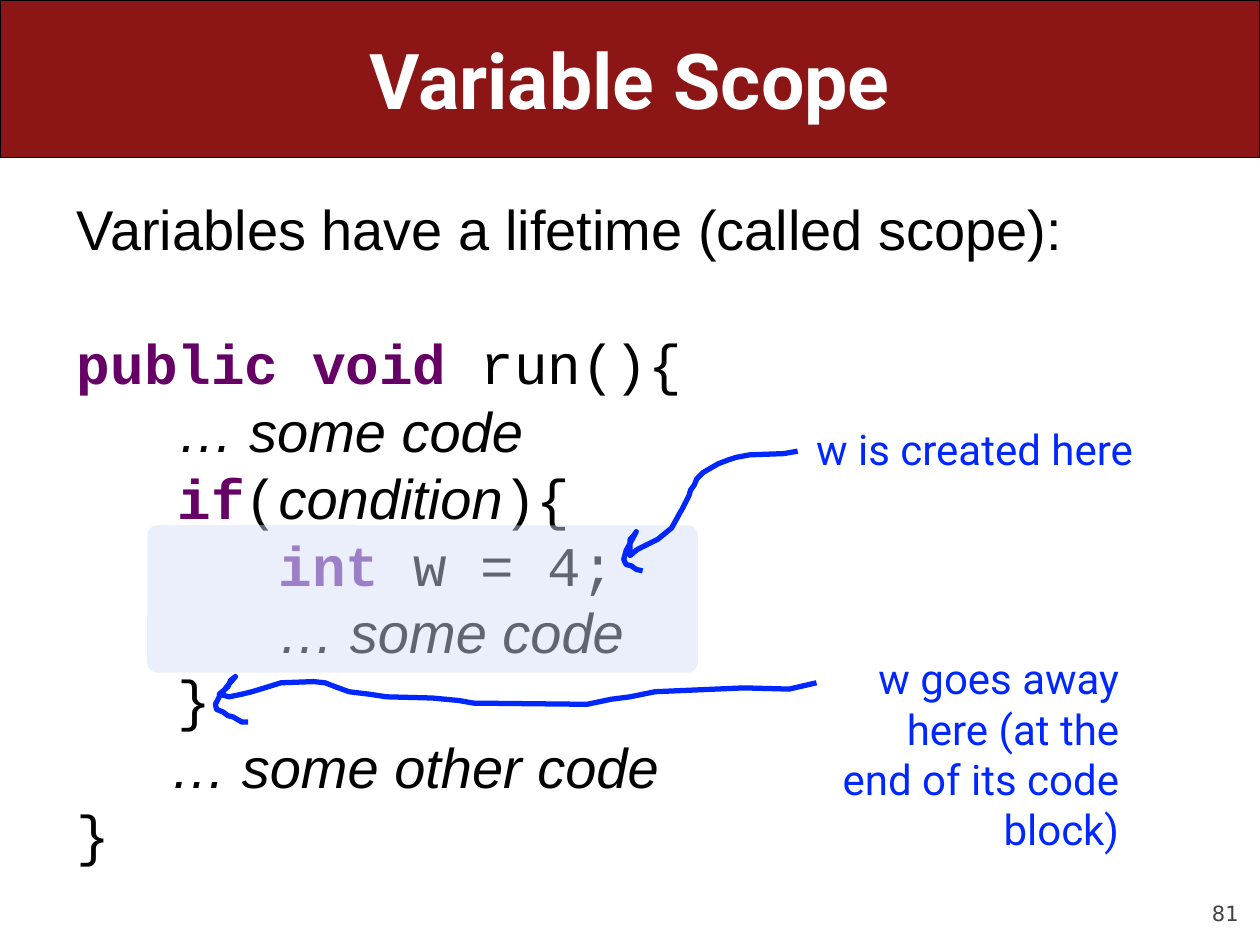
from lxml import etree
from pptx import Presentation
from pptx import util as u
from pptx.dml.color import RGBColor
from pptx.enum import shapes, text
from pptx.oxml import ns

Pt = u.Pt
COLORS = {"banner": "8C1515", "white": "FFFFFF", "black": "000000", "keyword": "660066",
          "type": "7030A0", "block": "D4DDF8", "note": "0027FF", "number": "424242"}
STYLES = {
    "plain": ("Arial", "black", False, False),
    "prose": ("Arial", "black", False, True),
    "code": ("Courier New", "black", False, False),
    "keyword": ("Courier New", "keyword", True, False),
    "type": ("Courier New", "type", True, False),
}
TITLE = "Variable Scope"
TAB = 57.6
LINE = 38.4
LINES = [
    (0, [("Variables have a lifetime (called scope):", "plain")]),
    (0, [("public void ", "keyword"), ("run(){", "code")]),
    (TAB, [("… some code", "prose")]),
    (TAB, [("if", "keyword"), ("(", "code"), ("condition", "prose"), ("){", "code")]),
    (2 * TAB, [("int ", "type"), ("w = 4;", "code")]),
    (2 * TAB, [("… some code", "prose")]),
    (TAB, [("}", "code")]),
    (53.4, [("… some other code", "prose")]),
    (0, [("}", "code")]),
]
NOTES = [
    ("w is created here", (455.8, 238.3, 198.7, 36), False),
    ("w goes away here (at the end of its code block)", (473.8, 369.4, 172.8, 123.8), True),
]
ARROWS = [
    [(455.8, 257.8), (447.9, 259.2), (428.4, 259.9), (420.5, 261.4), (416.2, 262.8),
     (410.4, 265), (401.8, 270), (398.2, 273.6), (396.7, 277.2), (394.6, 280.1),
     (393.8, 283), (390.2, 290.2), (388.1, 293.8), (386.6, 296.6), (383.8, 301.7),
     (375.8, 308.2), (373, 309.6), (370.1, 311), (367.2, 312.5), (364.3, 313.9),
     (360, 317.5), (360, 308.2), (362.2, 306), (363.6, 303.8), (357.8, 314.6),
     (356.4, 319.7), (357.8, 322.6), (360.7, 323.3), (363.6, 325.4), (367.2, 326.2)],
    [(466.6, 390.2), (450.9, 393.8), (425, 393.1), (374.4, 395.3), (360, 398.2),
     (349.2, 399.6), (335.5, 402.5), (270.7, 401.8), (262.1, 400.3), (247, 398.9),
     (221, 398.2), (211, 396.7), (199.4, 395.3), (191.5, 392.4), (185.8, 390.2),
     (179.3, 389.5), (160.6, 390.2), (151.2, 393.1), (144, 395.3), (138.2, 396.7),
     (131, 398.2), (125.3, 396.7), (130.3, 392.4), (131.8, 388.8), (134.6, 386.6),
     (129.6, 392.4), (125.3, 398.2), (123.1, 402.5), (123.8, 405.4), (127.4, 406.8),
     (130.3, 409), (133.2, 409.7), (138.2, 412.6), (141.8, 412.6)],
]


def color(name):
    return RGBColor.from_string(COLORS[name])


def place(box, left, top, width, height):
    box.left, box.top, box.width, box.height = map(Pt, (left, top, width, height))


def style(span, size, font, shade, bold=False, italic=False):
    span.font.size, span.font.name = Pt(size), font
    span.font.bold, span.font.italic = bold, italic
    span.font.color.rgb = color(shade)


def add_label(page, words, area, size, font, shade, wrap=True):
    box = page.shapes.add_textbox(*map(Pt, area))
    box.text_frame.word_wrap = wrap
    box.text_frame.text = words
    para = box.text_frame.paragraphs[0]
    para.alignment = text.PP_ALIGN.RIGHT
    style(para.runs[0], size, font, shade)
    return box


def add_panel(page, area, radius, shade):
    panel = page.shapes.add_shape(shapes.MSO_SHAPE.ROUNDED_RECTANGLE, *map(Pt, area))
    panel.adjustments[0] = radius
    panel.shadow.inherit = False
    panel.fill.solid()
    panel.fill.fore_color.rgb = color(shade)
    return panel


def add_code(box):
    place(box, 36.7, 107.5, 647.3, 400)
    frame = box.text_frame
    frame.word_wrap = True
    frame.auto_size = text.MSO_AUTO_SIZE.NONE
    frame.vertical_anchor = text.MSO_ANCHOR.TOP
    for index, (indent, spans) in enumerate(LINES):
        para = frame.paragraphs[0] if index == 0 else frame.add_paragraph()
        para.line_spacing = Pt(LINE)
        para.space_before = Pt(LINE if index == 1 else 0)
        para.space_after = Pt(0)
        props = para._p.get_or_add_pPr()
        props.set("marL", str(Pt(indent)))
        props.set("indent", "0")
        etree.SubElement(props, ns.qn("a:buNone"))
        for words, kind in spans:
            span = para.add_run()
            span.text = words
            style(span, 32, *STYLES[kind])


def add_arrow(page, points):
    start, *rest = [tuple(map(Pt, point)) for point in points]
    builder = page.shapes.build_freeform(*start)
    builder.add_line_segments(rest, close=False)
    arrow = builder.convert_to_shape()
    arrow.shadow.inherit = False
    arrow.fill.background()
    arrow.line.color.rgb = color("note")
    arrow.line.width = Pt(3)


def main():
    deck = Presentation()
    deck.slide_width, deck.slide_height = Pt(720), Pt(540)
    page = deck.slides.add_slide(deck.slide_layouts[1])

    banner = add_panel(page, (0, 0, 720, 90), 0, "banner")
    banner.line.color.rgb = color("black")
    banner.line.width = Pt(0.75)
    page.shapes._spTree.insert(2, banner._element)

    title = page.shapes.title
    place(title, 36, 0, 648, 90)
    title.text_frame.text = TITLE
    title.text_frame.vertical_anchor = text.MSO_ANCHOR.MIDDLE
    title.text_frame.paragraphs[0].alignment = text.PP_ALIGN.CENTER
    style(title.text_frame.paragraphs[0].runs[0], 44, "Roboto", "white", bold=True)

    add_code(page.placeholders[1])

    block = add_panel(page, (84.2, 300.2, 314.6, 84.2), 0.07, "block")
    block.line.fill.background()
    shade = block._element.spPr.find(ns.qn("a:solidFill")).find(ns.qn("a:srgbClr"))
    etree.SubElement(shade, ns.qn("a:alpha"), val="46000")

    for words, area, wrap in NOTES:
        add_label(page, words, area, 24, "Roboto", "note", wrap)
    for points in ARROWS:
        add_arrow(page, points)

    number = add_label(page, "81", (648, 500.4, 59.8, 28.8), 12, "DejaVu Sans", "number")
    frame = number.text_frame
    frame.margin_left = frame.margin_right = frame.margin_top = frame.margin_bottom = 0
    frame.vertical_anchor = text.MSO_ANCHOR.BOTTOM

    deck.save("out.pptx")


if __name__ == "__main__":
    main()
